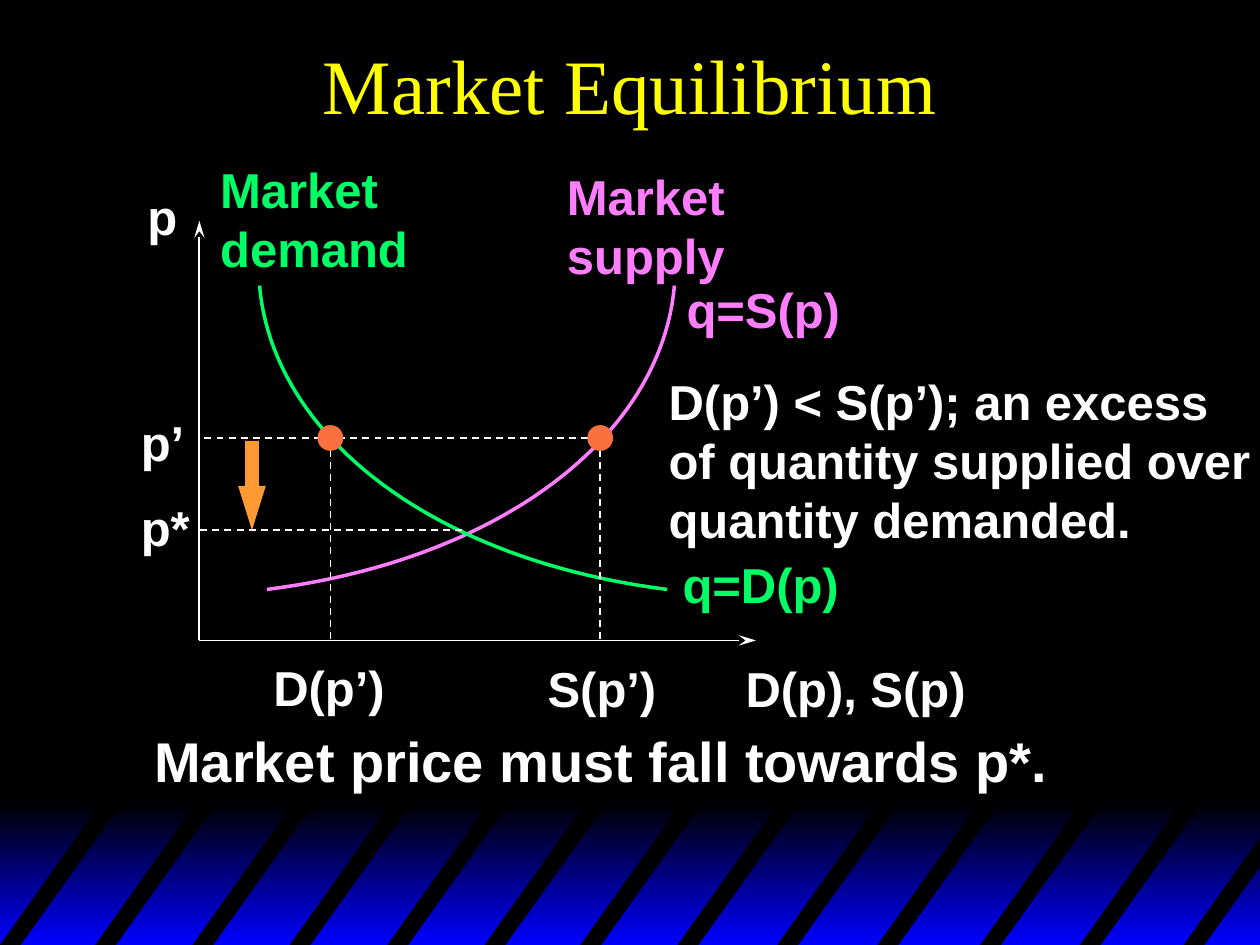
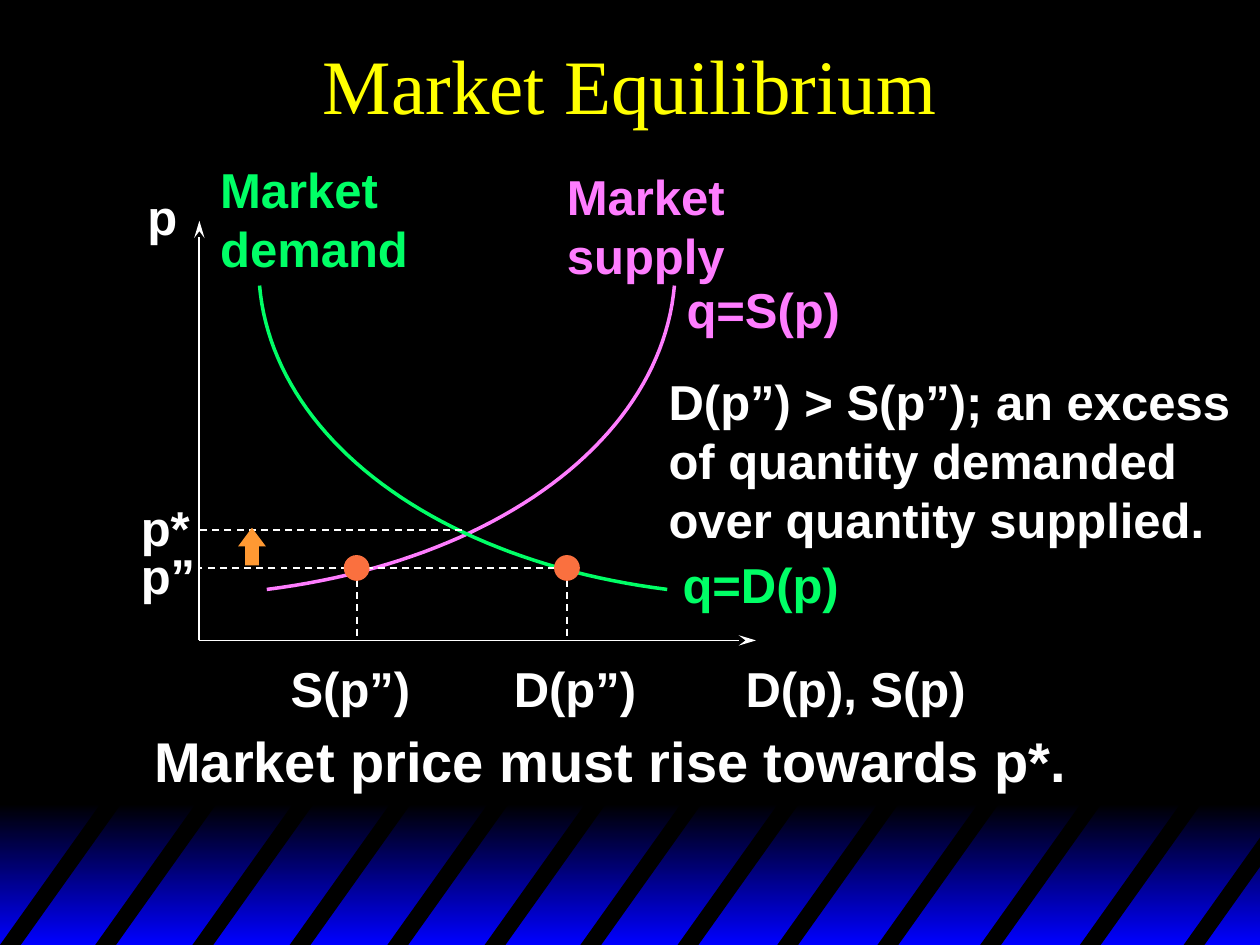
from dataclasses import dataclass
from math import cos, sin, radians

from lxml.etree import SubElement
from pptx import Presentation
from pptx.dml.color import RGBColor
from pptx.enum.dml import MSO_LINE
from pptx.enum.shapes import MSO_CONNECTOR, MSO_SHAPE
from pptx.enum.text import MSO_ANCHOR, MSO_AUTO_SIZE, PP_ALIGN
from pptx.oxml.ns import qn
from pptx.util import Cm, Pt

# Colours and fonts
BLACK = RGBColor(0x00, 0x00, 0x00)
BLUE = RGBColor(0x00, 0x00, 0xFF)
WHITE = RGBColor(0xFF, 0xFF, 0xFF)
YELLOW = RGBColor(0xFF, 0xFF, 0x00)
DEMAND_GREEN = RGBColor(0x00, 0xFF, 0x66)
SUPPLY_PINK = RGBColor(0xFF, 0x7D, 0xFF)
DOT_ORANGE = RGBColor(0xFA, 0x70, 0x3F)
ARROW_ORANGE = RGBColor(0xFF, 0x99, 0x33)
TITLE_FONT = "Times New Roman"
LABEL_FONT = "Arial"

# Geometry in centimetres
SLIDE_W, SLIDE_H = 25.4, 19.05
ORIGIN_X, ORIGIN_Y = 4.02, 12.91
PRICE_AXIS_TOP, QUANTITY_AXIS_END = 4.45, 15.24
EQUILIBRIUM_X, EQUILIBRIUM_Y = 9.32, 10.69
DOT_SIZE = 0.52
STRIPE_FEET = (0, 1.92, 3.88, 5.84, 7.81, 9.77, 11.7,
               13.66, 15.67, 17.69, 19.76, 21.77, 23.86)
STRIPE_TOP, STRIPE_LEAN, STRIPE_WIDTH = 16.1, 2.1, 0.42
CURVE_TILT, CURVE_SWEEP, CURVE_STEPS = radians(5), radians(71.5), 48
CURVE_RADII = (11.21, 7.19)


@dataclass
class Case:
    """One price away from equilibrium; labels are (text, left, top, width)."""
    price_level: float
    quantities: tuple
    labels: tuple
    explanation: str
    explanation_width: float
    conclusion: str
    conclusion_width: float
    arrow_kind: MSO_SHAPE
    arrow_top: float
    arrow_height: float
    arrow_head: float


CASES = (
    Case(8.83, (6.66, 12.1),
         (("p’", 2.59, 8.2, 1.4), ("D(p’)", 5.26, 13.13, 2.77),
          ("S(p’)", 10.79, 13.16, 2.75)),
         "D(p’) < S(p’); an excess\vof quantity supplied over\vquantity demanded.", 12.26,
         "Market price must fall towards p*.", 18.56,
         MSO_SHAPE.DOWN_ARROW, 8.89, 1.8, 1.6),
    Case(11.45, (7.19, 11.43),
         (("p”", 2.59, 10.87, 1.6), ("S(p”)", 5.61, 13.16, 2.94),
          ("D(p”)", 10.11, 13.16, 2.99)),
         "D(p”) > S(p”); an excess\vof quantity demanded\vover quantity supplied.", 11.86,
         "Market price must rise towards p*.", 18.94,
         MSO_SHAPE.UP_ARROW, 10.64, 0.76, 0.67),
)


def style_runs(text_frame, font_name, size, color, bold):
    for paragraph in text_frame.paragraphs:
        for run in paragraph.runs:
            run.font.name = font_name
            run.font.size = Pt(size)
            run.font.bold = bold
            run.font.color.rgb = color


def add_label(slide, text, left, top, width, color=WHITE, size=28):
    box = slide.shapes.add_textbox(Cm(left), Cm(top), Cm(width), Cm(1.45))
    frame = box.text_frame
    frame.word_wrap = False
    frame.auto_size = MSO_AUTO_SIZE.SHAPE_TO_FIT_TEXT
    frame.text = text
    style_runs(frame, LABEL_FONT, size, color, True)


def add_filled(shapes, kind, left, top, width, height, color):
    shape = shapes.add_shape(kind, Cm(left), Cm(top), Cm(width), Cm(height))
    shape.shadow.inherit = False
    shape.fill.solid()
    shape.fill.fore_color.rgb = color
    shape.line.fill.background()
    return shape


def add_outline(shapes, points, closed):
    corners = [(Cm(x), Cm(y)) for x, y in points]
    builder = shapes.build_freeform(*corners[0])
    builder.add_line_segments(corners[1:], close=closed)
    outline = builder.convert_to_shape()
    outline.shadow.inherit = False
    return outline


def add_line(slide, start, end, dashed=False, arrow=False):
    line = slide.shapes.add_connector(
        MSO_CONNECTOR.STRAIGHT, *(Cm(value) for value in start + end))
    line.line.color.rgb = WHITE
    line.line.width = Pt(1)
    if dashed:
        line.line.dash_style = MSO_LINE.DASH
    if arrow:
        SubElement(line.line._get_or_add_ln(), qn("a:tailEnd"),
                   type="stealth", w="med", len="lg")
    SubElement(line.element.spPr, qn("a:effectLst"))


def add_curve(slide, center_x, center_y, direction, color):
    """Arc of a tilted ellipse; direction -1 bows left, 1 bows right."""
    points = []
    for step in range(CURVE_STEPS + 1):
        angle = CURVE_SWEEP * step / CURVE_STEPS
        across, down = CURVE_RADII[0] * cos(angle), CURVE_RADII[1] * sin(angle)
        out = across * cos(CURVE_TILT) - down * sin(CURVE_TILT)
        drop = across * sin(CURVE_TILT) + down * cos(CURVE_TILT)
        points.append((center_x + direction * out, center_y + drop))
    curve = add_outline(slide.shapes, points, closed=False)
    curve.fill.background()
    curve.line.color.rgb = color
    curve.line.width = Pt(2)


def stripe_points(foot):
    """Slanted stripe, cut off at the right edge of the slide."""
    height = SLIDE_H - STRIPE_TOP

    def edge_end(start):
        x = min(start + STRIPE_LEAN, SLIDE_W)
        return x, SLIDE_H - (x - start) / STRIPE_LEAN * height

    left_end = edge_end(foot)
    right_foot = foot + STRIPE_WIDTH
    if left_end[0] < SLIDE_W:
        right_end = (left_end[0] + STRIPE_WIDTH, STRIPE_TOP)
    else:
        right_end = edge_end(right_foot)
    return (foot, SLIDE_H), left_end, right_end, (right_foot, SLIDE_H)


def add_striped_band(slide, layout):
    """Build the bottom band, then hand it to the layout shared by all slides."""
    band = slide.shapes.add_group_shape()
    glow = add_filled(band.shapes, MSO_SHAPE.RECTANGLE, 0, 16.2, SLIDE_W, 2.85, BLUE)
    glow.fill.gradient()
    glow.fill.gradient_angle = 270
    for stop, color, position in zip(glow.fill.gradient_stops, (BLACK, BLUE), (0, 1)):
        stop.color.rgb = color
        stop.position = position
    for foot in STRIPE_FEET:
        stripe = add_outline(band.shapes, stripe_points(foot), closed=True)
        stripe.fill.solid()
        stripe.fill.fore_color.rgb = BLACK
        stripe.line.fill.background()
    layout.shapes.element.insert(2, band.element)


def set_title(slide, text):
    title = slide.shapes.title
    title.left, title.top, title.width, title.height = Cm(0), Cm(0), Cm(SLIDE_W), Cm(3.38)
    title.text_frame.text = text
    title.text_frame.vertical_anchor = MSO_ANCHOR.MIDDLE
    title.text_frame.paragraphs[0].alignment = PP_ALIGN.CENTER
    style_runs(title.text_frame, TITLE_FONT, 44, YELLOW, False)


def add_market(slide):
    """Axes, curves and labels that both cases share."""
    origin = (ORIGIN_X, ORIGIN_Y)
    add_line(slide, origin, (ORIGIN_X, PRICE_AXIS_TOP), arrow=True)
    add_line(slide, origin, (QUANTITY_AXIS_END, ORIGIN_Y), arrow=True)
    add_curve(slide, 2.43, 4.78, 1, SUPPLY_PINK)
    add_curve(slide, 16.4, 4.78, -1, DEMAND_GREEN)
    add_line(slide, (EQUILIBRIUM_X, EQUILIBRIUM_Y), (ORIGIN_X, EQUILIBRIUM_Y), dashed=True)

    add_label(slide, "p", 2.72, 3.63, 1.12)
    add_label(slide, "p*", 2.59, 9.91, 1.5)
    add_label(slide, "D(p), S(p)", 14.78, 13.16, 4.95)
    add_label(slide, "Market\vdemand", 4.19, 3.1, 4.29, DEMAND_GREEN)
    add_label(slide, "q=D(p)", 13.51, 11.05, 3.66, DEMAND_GREEN)
    add_label(slide, "Market\vsupply", 11.18, 3.23, 3.68, SUPPLY_PINK)
    add_label(slide, "q=S(p)", 13.59, 5.51, 3.61, SUPPLY_PINK)


def add_case(slide, case):
    """Price line, quantities, arrow and comments of one case."""
    level = case.price_level
    add_line(slide, (max(case.quantities), level), (ORIGIN_X, level), dashed=True)
    for quantity in case.quantities:
        add_line(slide, (quantity, level), (quantity, ORIGIN_Y), dashed=True)
        add_filled(slide.shapes, MSO_SHAPE.OVAL, quantity - DOT_SIZE / 2,
                   level - DOT_SIZE / 2, DOT_SIZE, DOT_SIZE, DOT_ORANGE)
    arrow = add_filled(slide.shapes, case.arrow_kind, 4.8, case.arrow_top,
                       0.56, case.arrow_height, ARROW_ORANGE)
    arrow.adjustments[0] = 0.5
    arrow.adjustments[1] = case.arrow_head
    for label in case.labels:
        add_label(slide, *label)
    add_label(slide, case.explanation, 13.23, 7.37, case.explanation_width)
    add_label(slide, case.conclusion, 2.86, 14.53, case.conclusion_width, size=32)


def main():
    presentation = Presentation()
    presentation.slide_width, presentation.slide_height = Cm(SLIDE_W), Cm(SLIDE_H)
    layout = presentation.slide_layouts.get_by_name("Title Only")
    layout.background.fill.solid()
    layout.background.fill.fore_color.rgb = BLACK

    slides = [presentation.slides.add_slide(layout) for _ in CASES]
    add_striped_band(slides[0], layout)
    for slide, case in zip(slides, CASES):
        set_title(slide, "Market Equilibrium")
        add_market(slide)
        add_case(slide, case)
    presentation.save("out.pptx")


if __name__ == "__main__":
    main()
